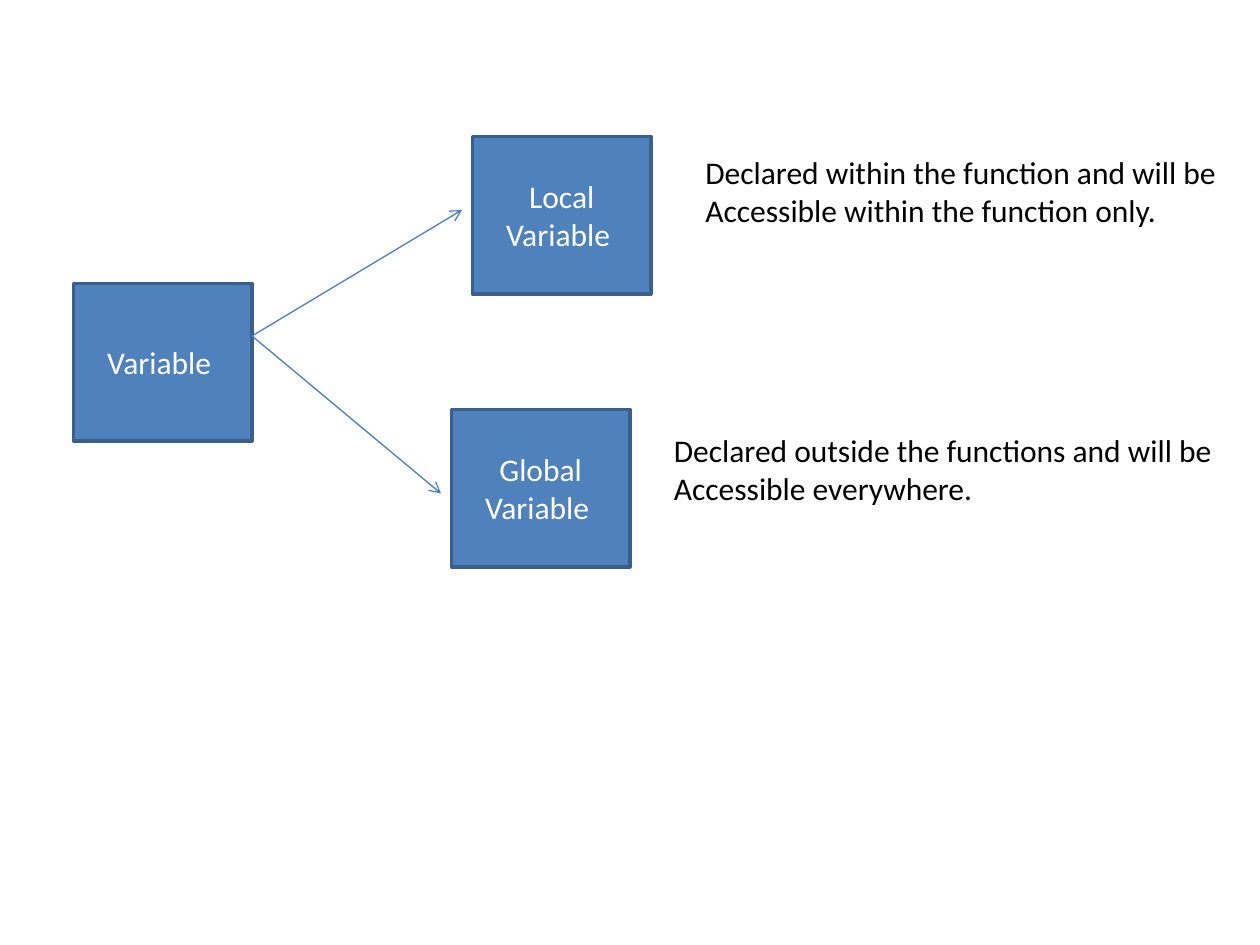
from lxml.etree import SubElement
from pptx import Presentation
from pptx.dml.color import RGBColor
from pptx.enum.shapes import MSO_CONNECTOR, MSO_SHAPE
from pptx.enum.text import MSO_ANCHOR, MSO_AUTO_SIZE, PP_ALIGN
from pptx.oxml.ns import qn
from pptx.util import Inches, Pt

BLUE = RGBColor(0x4F, 0x81, 0xBD)
EDGE = RGBColor(0x3A, 0x5F, 0x8C)
ARROW = RGBColor(0x4B, 0x7E, 0xBC)
WHITE = RGBColor(0xFF, 0xFF, 0xFF)
BLACK = RGBColor(0, 0, 0)

# The slide is a grid of 120 columns by 90 rows, twelve to the inch
CELL = Inches(1) / 12
NODE_COLS, NODE_ROWS = 17, 15


def grid(*cells):
    return [round(cell * CELL) for cell in cells]


def format_text(frame, color, align):
    for para in frame.paragraphs:
        para.alignment = align
        for span in para.runs:
            span.font.name = "Calibri"
            span.font.size = Pt(18)
            span.font.color.rgb = color


def add_node(page, col, row, label):
    node = page.shapes.add_shape(
        MSO_SHAPE.RECTANGLE, *grid(col, row, NODE_COLS, NODE_ROWS))
    node.shadow.inherit = False
    node.fill.solid()
    node.fill.fore_color.rgb = BLUE
    node.line.color.rgb = EDGE
    node.line.width = Pt(2)
    frame = node.text_frame
    frame.text = label
    frame.word_wrap = True
    frame.vertical_anchor = MSO_ANCHOR.MIDDLE
    format_text(frame, WHITE, PP_ALIGN.CENTER)


def add_arrow(page, start, end):
    arrow = page.shapes.add_connector(
        MSO_CONNECTOR.STRAIGHT, *grid(*start, *end))
    arrow.line.color.rgb = ARROW
    arrow.line.width = Pt(0.75)
    SubElement(arrow.line._get_or_add_ln(), qn("a:tailEnd"), type="arrow")
    SubElement(arrow._element.spPr, qn("a:effectLst"))


def add_note(page, col, row, cols, text):
    note = page.shapes.add_textbox(*grid(col, row, cols, 8.5))
    frame = note.text_frame
    frame.text = text
    frame.word_wrap = False
    frame.auto_size = MSO_AUTO_SIZE.SHAPE_TO_FIT_TEXT
    format_text(frame, BLACK, PP_ALIGN.LEFT)


def add_branch(page, start, end, node, label, note, text):
    """One kind of variable: its arrow, its node and its explanation."""
    add_arrow(page, start, end)
    add_node(page, *node, label)
    add_note(page, *note, text)


def main():
    deck = Presentation()
    deck.slide_width, deck.slide_height = grid(120, 90)
    page = deck.slides.add_slide(deck.slide_layouts[6])

    # Root of the tree
    add_node(page, 7, 27, "Variable ")
    fork = (24, 32)

    # Global and local branches
    add_branch(page, fork, (42, 47), (43, 39), "Global Variable ",
               (63, 40.5, 54.4),
               "Declared outside the functions and will be\n"
               "Accessible everywhere.")
    add_branch(page, fork, (44, 20), (45, 13), "Local Variable ",
               (66, 14, 51.7),
               "Declared within the function and will be\n"
               "Accessible within the function only.")

    deck.save("out.pptx")


if __name__ == "__main__":
    main()
